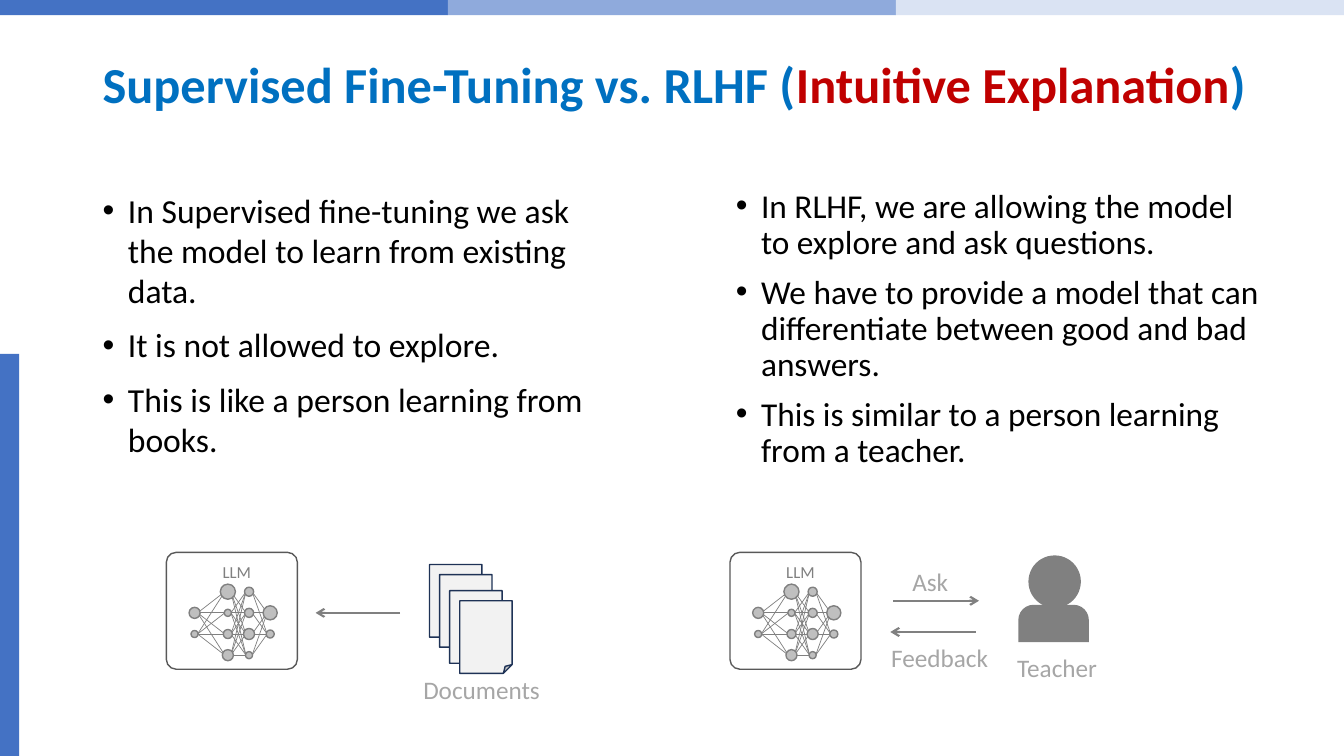
from itertools import pairwise, product

from lxml import etree
from pptx import Presentation
from pptx.dml.color import RGBColor
from pptx.enum.shapes import MSO_CONNECTOR, MSO_SHAPE
from pptx.enum.text import MSO_ANCHOR, MSO_AUTO_SIZE, PP_ALIGN
from pptx.oxml.ns import qn
from pptx.util import Inches, Pt

RECT = MSO_SHAPE.RECTANGLE
ROUNDED = MSO_SHAPE.ROUNDED_RECTANGLE
OVAL = MSO_SHAPE.OVAL
PAGE = MSO_SHAPE.FOLDED_CORNER
SHOULDERS = MSO_SHAPE.ROUND_2_SAME_RECTANGLE
STRAIGHT = MSO_CONNECTOR.STRAIGHT
TOP, MIDDLE = MSO_ANCHOR.TOP, MSO_ANCHOR.MIDDLE
LEFT, CENTER = PP_ALIGN.LEFT, PP_ALIGN.CENTER
FIT_TEXT = MSO_AUTO_SIZE.SHAPE_TO_FIT_TEXT

BLUE, GRAY, SILVER, LABEL = "4472C4", "808080", "BFBFBF", "A6A6A6"

LAYER_X = [1.93, 2.26, 2.47, 2.68]
ROW_Y = [5.87, 6.08, 6.29, 6.5]
NODES = [
    {1: 0.11, 2: 0.07},
    {0: 0.15, 1: 0.07, 2: 0.09, 3: 0.11},
    {0: 0.09, 1: 0.09, 2: 0.11, 3: 0.07},
    {1: 0.14, 2: 0.08},
]


def color(value):
    return RGBColor.from_string(value)


class SlideBuilder:
    font = "Calibri"

    def __init__(self, slide):
        self.slide = slide

    def shape(self, kind, left, top, width, height, fill, line=None, adjust=(), alpha=None):
        item = self.slide.shapes.add_shape(
            kind, Inches(left), Inches(top), Inches(width), Inches(height))
        item.shadow.inherit = False
        item.fill.solid()
        item.fill.fore_color.rgb = color(fill)
        if alpha:
            tone = item.fill._xPr.find(qn("a:solidFill")).find(qn("a:srgbClr"))
            etree.SubElement(tone, qn("a:alpha")).set("val", str(alpha * 1000))
        if line:
            item.line.color.rgb = color(line)
            item.line.width = Pt(1)
        else:
            item.line.fill.background()
        for index, value in enumerate(adjust):
            item.adjustments[index] = value

    def line(self, x1, y1, x2, y2, width=0.5, arrow=False):
        item = self.slide.shapes.add_connector(
            STRAIGHT, Inches(x1), Inches(y1), Inches(x2), Inches(y2))
        item.line.color.rgb = color(GRAY)
        item.line.width = Pt(width)
        if arrow:
            etree.SubElement(item.line._get_or_add_ln(), qn("a:tailEnd")).set("type", "arrow")
        etree.SubElement(item._element.spPr, qn("a:effectLst"))

    def text(self, paragraphs, left, top, width, height, size, tone="000000", bold=False,
             align=LEFT, anchor=TOP, spacing=1.0, bullet=False, wrap=True, fit=False):
        box = self.slide.shapes.add_textbox(
            Inches(left), Inches(top), Inches(width), Inches(height))
        frame = box.text_frame
        frame.word_wrap = wrap
        frame.vertical_anchor = anchor
        if fit:
            frame.auto_size = FIT_TEXT
        for index, runs in enumerate(paragraphs):
            paragraph = frame.add_paragraph() if index else frame.paragraphs[0]
            paragraph.alignment = align
            paragraph.line_spacing = spacing
            if bullet:
                paragraph.space_before = Pt(10 if index else 0)
                self.bullet(paragraph)
            for words, run_tone in runs:
                run = paragraph.add_run()
                run.text = words
                run.font.name = self.font
                run.font.size = Pt(size)
                run.font.bold = bold
                run.font.color.rgb = color(run_tone or tone)

    def bullet(self, paragraph):
        properties = paragraph._p.get_or_add_pPr()
        properties.set("marL", str(Inches(0.25)))
        properties.set("indent", str(Inches(-0.25)))
        etree.SubElement(properties, qn("a:buFont")).set("typeface", "Arial")
        etree.SubElement(properties, qn("a:buChar")).set("char", "•")

    def points(self, sentences, left, width, **style):
        self.text([[(sentence, None)] for sentence in sentences],
                  left, 1.83, width, 2.99, bullet=True, **style)

    def label(self, words, left, top, width):
        self.text([[(words, None)]], left, top, width, 0.4,
                  size=18, tone=LABEL, wrap=False, fit=True)

    def arrow(self, start, end, y):
        self.line(start, y, end, y, width=1.5, arrow=True)

    def language_model(self, offset):
        self.shape(ROUNDED, 1.65 + offset, 5.48, 1.3, 1.16, "FFFFFF",
                   line="595959", adjust=[0.085], alpha=76)
        self.text([[("LLM", None)]], 1.82 + offset, 5.52, 1.06, 0.3,
                  size=12, tone=GRAY, align=CENTER, fit=True)
        layers = [(x + offset, rows) for x, rows in zip(LAYER_X, NODES)]
        for (x1, sources), (x2, targets) in pairwise(layers):
            for source, target in product(sources, targets):
                if source or target:
                    self.line(x1 + 0.03, ROW_Y[source], x2 - 0.03, ROW_Y[target])
        for x, rows in layers:
            for row, size in rows.items():
                self.shape(OVAL, x - size / 2, ROW_Y[row] - size / 2, size, size,
                           SILVER, line=GRAY)


def main():
    deck = Presentation()
    deck.slide_width, deck.slide_height = Inches(13.33), Inches(7.5)
    page = SlideBuilder(deck.slides.add_slide(deck.slide_layouts[6]))

    band = 13.33 / 3
    for index, tone in enumerate([BLUE, "8FAADC", "DAE3F3"]):
        page.shape(RECT, index * band, -0.02, band, 0.17, tone)
    page.shape(RECT, 0, 3.51, 0.19, 3.99, BLUE)

    page.text([[("Supervised Fine-Tuning vs. RLHF (", None),
                ("Intuitive Explanation", "C00000"), (")", None)]],
              0.92, 0.4, 11.87, 0.94, size=36, tone="0070C0", bold=True,
              anchor=MIDDLE, spacing=0.9)
    page.points(["In Supervised fine-tuning we ask the model to learn from existing data.",
                 "It is not allowed to explore.",
                 "This is like a person learning from books."],
                0.92, 4.98, size=24)
    page.points(["In RLHF, we are allowing the model to explore and ask questions.",
                 "We have to provide a model that can differentiate between good and bad answers.",
                 "This is similar to a person learning from a teacher."],
                7.2, 5.39, size=23.8, spacing=0.9)

    for offset in (0, 5.59):
        page.language_model(offset)

    for left, top in [(4.26, 5.6), (4.36, 5.7), (4.46, 5.86), (4.56, 5.96)]:
        page.shape(PAGE, left, top, 0.52, 0.72, "F2F2F2", line="1E3256")
    page.arrow(3.97, 3.13, 6.08)
    page.label("Documents", 4.1, 6.64, 1.37)

    page.arrow(8.86, 9.71, 5.96)
    page.label("Ask", 8.95, 5.57, 0.56)
    page.arrow(9.68, 8.83, 6.27)
    page.label("Feedback", 8.74, 6.32, 1.17)
    page.shape(OVAL, 10.2, 5.51, 0.52, 0.52, GRAY)
    page.shape(SHOULDERS, 10.1, 6, 0.7, 0.37, GRAY, adjust=[0.41, 0])
    page.label("Teacher", 9.99, 6.42, 1)

    deck.save("out.pptx")


if __name__ == "__main__":
    main()
